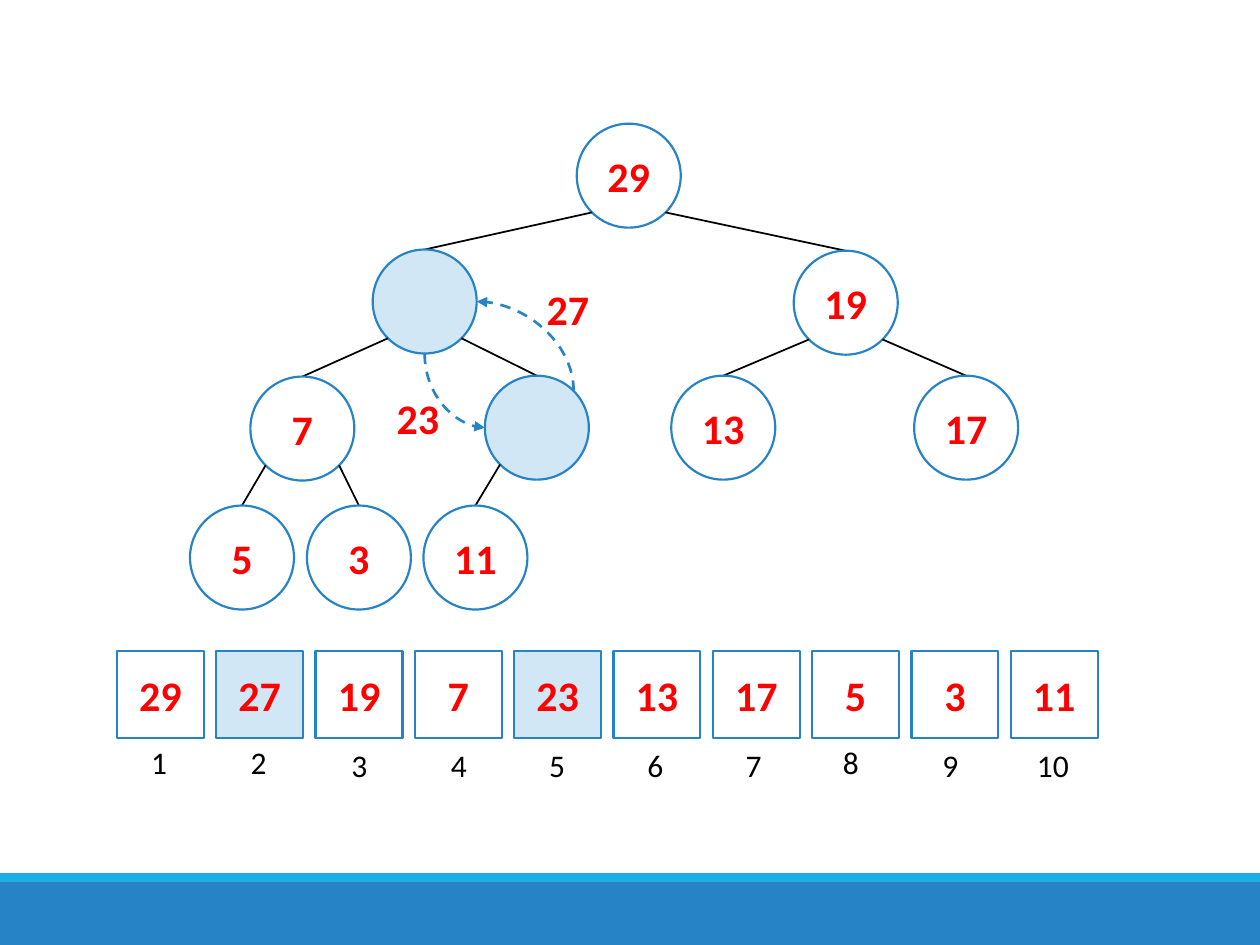
import math
from dataclasses import dataclass

import pptx
import pptx.dml.color
import pptx.enum.dml
import pptx.enum.shapes
import pptx.enum.text
import pptx.oxml
import pptx.oxml.ns
import pptx.util

Pt = pptx.util.Pt
ShapeType = pptx.enum.shapes.MSO_SHAPE


@dataclass(frozen=True)
class Theme:
    font: str = "Calibri"
    blue: str = "2683C6"
    bright_blue: str = "1CADE4"
    highlight: str = "D1E7F6"
    white: str = "FFFFFF"
    black: str = "000000"
    red: str = "FF0000"
    value_size: float = 24
    index_size: float = 18
    outline: float = 1.25
    edge: float = 1
    swap: float = 1.5


@dataclass(frozen=True)
class Point:
    x: float
    y: float


@dataclass(frozen=True)
class Box:
    left: float
    top: float
    width: float
    height: float


@dataclass(frozen=True)
class Node:
    value: str
    left: float
    top: float

    def at_angle(self, degrees: float) -> Point:
        radius = NODE_SIZE / 2
        angle = math.radians(degrees)
        return Point(
            self.left + radius * (1 + math.cos(angle)),
            self.top + radius * (1 + math.sin(angle)),
        )


@dataclass(frozen=True)
class Cell:
    value: str
    index_left: float
    index_top: float


THEME = Theme()
NODE_SIZE = 59.4
CELL_SIZE = 49.7
CELL_STEP = 56.75
CELL_LEFT = 66.8
CELL_TOP = 372
SWAPPED = (1, 4)

NODES = [
    Node("29", 329.6, 70.7),
    Node("", 213, 142.6),
    Node("19", 453.6, 143.3),
    Node("7", 143.1, 215.2),
    Node("", 277.1, 214.7),
    Node("13", 383.6, 214.7),
    Node("17", 522.4, 214.7),
    Node("5", 108.6, 288.9),
    Node("3", 175.4, 288.9),
    Node("11", 242, 288.9),
]

CELLS = [
    Cell("29", 79.2, 421.2),
    Cell("27", 136.1, 421.2),
    Cell("19", 193.7, 422.6),
    Cell("7", 250.6, 422.6),
    Cell("23", 306.7, 422.6),
    Cell("13", 362.9, 422.6),
    Cell("17", 419, 422.6),
    Cell("5", 474.5, 421.2),
    Cell("3", 531.4, 422.6),
    Cell("11", 585.4, 422.6),
]


def color(value: str) -> pptx.dml.color.RGBColor:
    return pptx.dml.color.RGBColor.from_string(value)


def write(shape, text: str, size: float, ink: str, bold: bool, alignment) -> None:
    paragraph = shape.text_frame.paragraphs[0]
    paragraph.text = text
    paragraph.alignment = alignment
    paragraph.font.name = THEME.font
    paragraph.font.size = Pt(size)
    paragraph.font.bold = bold
    paragraph.font.color.rgb = color(ink)


def add_block(slide, kind, box: Box, fill: str, outlined: bool = True, text: str = "") -> None:
    shape = slide.shapes.add_shape(
        kind, Pt(box.left), Pt(box.top), Pt(box.width), Pt(box.height)
    )
    shape.shadow.inherit = False
    shape.fill.solid()
    shape.fill.fore_color.rgb = color(fill)
    if outlined:
        shape.line.color.rgb = color(THEME.blue)
        shape.line.width = Pt(THEME.outline)
    else:
        shape.line.fill.background()
    if text:
        shape.text_frame.vertical_anchor = pptx.enum.text.MSO_ANCHOR.MIDDLE
        write(shape, text, THEME.value_size, THEME.red, True, pptx.enum.text.PP_ALIGN.CENTER)


def add_label(slide, text: str, box: Box, size: float, ink: str, bold: bool) -> None:
    label = slide.shapes.add_textbox(
        Pt(box.left), Pt(box.top), Pt(box.width), Pt(box.height)
    )
    label.text_frame.word_wrap = True
    write(label, text, size, ink, bold, pptx.enum.text.PP_ALIGN.LEFT)


def add_line(slide, kind, start: Point, end: Point, ink: str, width: float):
    connector = slide.shapes.add_connector(
        kind, Pt(start.x), Pt(start.y), Pt(end.x), Pt(end.y)
    )
    connector.line.color.rgb = color(ink)
    connector.line.width = Pt(width)
    connector._element.spPr.append(pptx.oxml.parse_xml(
        f'<a:effectLst {pptx.oxml.ns.nsdecls("a")}/>'
    ))
    return connector


def add_swap_arrow(slide, start: Point, end: Point) -> None:
    center = Point((start.x + end.x) / 2, (start.y + end.y) / 2)

    def unrotated(point: Point) -> Point:
        return Point(center.x - (point.y - center.y), center.y + (point.x - center.x))

    connector = add_line(
        slide, pptx.enum.shapes.MSO_CONNECTOR.CURVE,
        unrotated(start), unrotated(end), THEME.blue, THEME.swap,
    )
    connector.line.dash_style = pptx.enum.dml.MSO_LINE.DASH
    properties = connector._element.spPr
    properties.find(pptx.oxml.ns.qn("a:xfrm")).set("rot", str(270 * 60000))
    properties.find(pptx.oxml.ns.qn("a:prstGeom")).set("prst", "curvedConnector2")
    properties.find(pptx.oxml.ns.qn("a:ln")).append(pptx.oxml.parse_xml(
        f'<a:tailEnd {pptx.oxml.ns.nsdecls("a")} type="triangle"/>'
    ))


def add_tree(slide) -> None:
    for position, node in enumerate(NODES):
        if position:
            parent = NODES[(position - 1) // 2]
            start = parent.at_angle(135 if position % 2 else 45)
            add_line(slide, pptx.enum.shapes.MSO_CONNECTOR.STRAIGHT,
                     start, node.at_angle(270), THEME.black, THEME.edge)
        fill = THEME.highlight if position in SWAPPED else THEME.white
        add_block(slide, ShapeType.OVAL, Box(node.left, node.top, NODE_SIZE, NODE_SIZE),
                  fill, text=node.value)


def add_array(slide) -> None:
    for position, cell in enumerate(CELLS):
        left = CELL_LEFT + position * CELL_STEP
        fill = THEME.highlight if position in SWAPPED else THEME.white
        add_block(slide, ShapeType.RECTANGLE, Box(left, CELL_TOP, CELL_SIZE, CELL_SIZE),
                  fill, text=cell.value)
        add_label(slide, str(position + 1), Box(cell.index_left, cell.index_top, 34.6, 29),
                  THEME.index_size, THEME.black, False)


def main() -> None:
    presentation = pptx.Presentation()
    presentation.slide_width = Pt(720)
    presentation.slide_height = Pt(540)
    slide = presentation.slides.add_slide(presentation.slide_layouts[6])
    add_block(slide, ShapeType.RECTANGLE, Box(0, 504, 720, 36), THEME.blue, False)
    add_block(slide, ShapeType.RECTANGLE, Box(0, 499, 720, 5), THEME.bright_blue, False)
    add_tree(slide)
    add_array(slide)
    upper, lower = (NODES[position] for position in SWAPPED)
    add_swap_arrow(slide, lower.at_angle(315), upper.at_angle(0))
    add_swap_arrow(slide, upper.at_angle(90), lower.at_angle(180))
    for text, left, top in (("27", 305.3, 158.4), ("23", 219.6, 220.6)):
        add_label(slide, text, Box(left, top, 40, 36), THEME.value_size, THEME.red, True)
    presentation.save("out.pptx")


if __name__ == "__main__":
    main()
